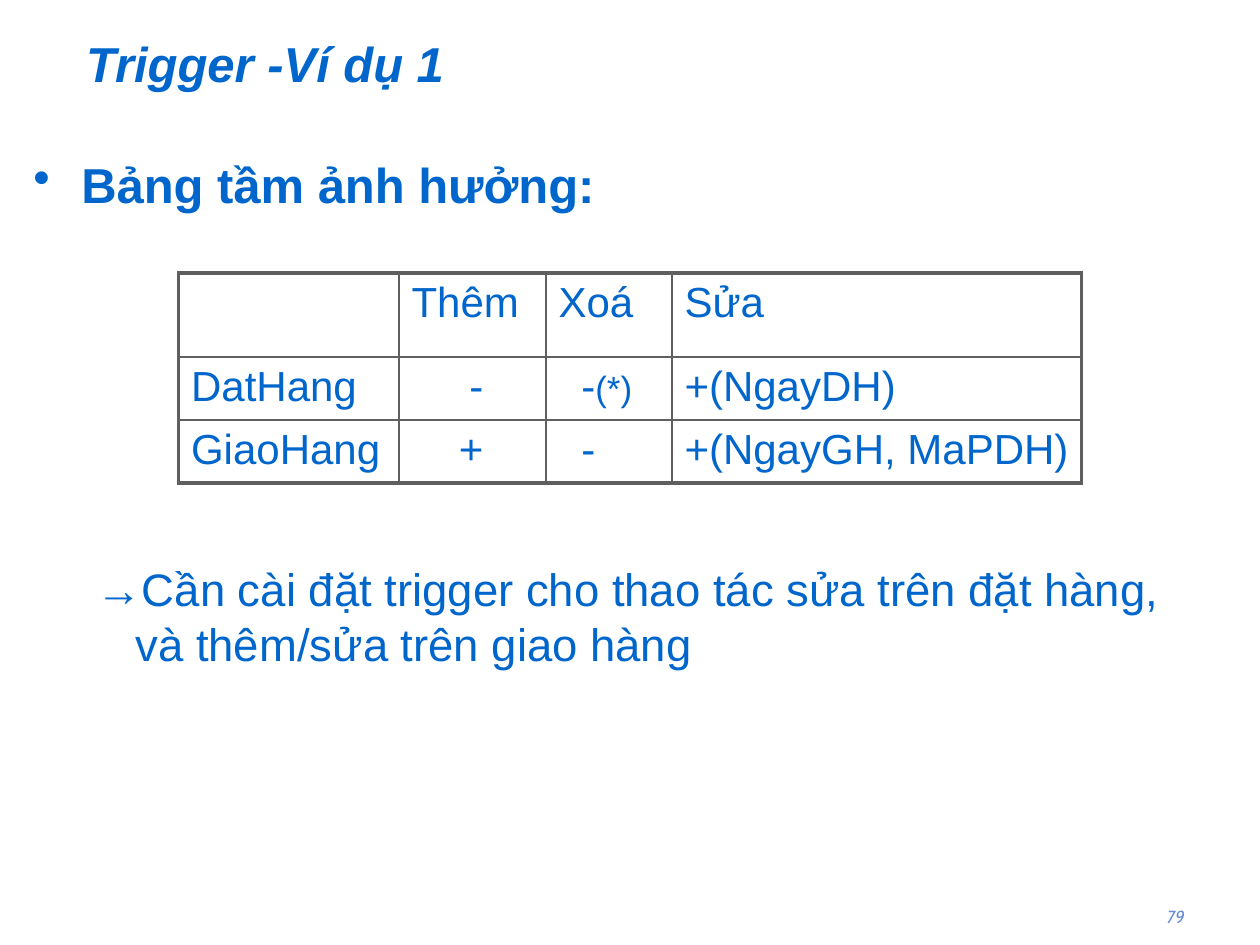
from lxml import etree
from pptx import Presentation, util as u
from pptx.dml.color import RGBColor
from pptx.enum import text
from pptx.oxml import ns

BLUE = RGBColor(0x00, 0x66, 0xCC)
PALE_BLUE = RGBColor(0x6B, 0x8E, 0xD3)
BORDER = RGBColor(0x5F, 0x5F, 0x5F)
THIN, THICK = 1, 2.25

COLUMNS = (21, 14, 12, 39)
ROWS = (8, 5.75, 5.75)
# Each cell: its runs as (text, size), then the indent in points
EFFECTS = (
    (((), 0), ((("Thêm", 24),), 0), ((("Xoá", 24),), 0), ((("Sửa", 24),), 0)),
    (((("DatHang", 24),), 0), ((("-", 24),), 33),
     ((("-", 24), ("(*)", 20)), 13), ((("+(NgayDH)", 24),), 0)),
    (((("GiaoHang", 24),), 0), ((("+", 24),), 27),
     ((("-", 24),), 13), ((("+(NgayGH, MaPDH)", 24),), 0)),
)


def grid(*cells):
    """Turn units of the 120 by 90 slide grid into lengths."""
    return [u.Inches(cell / 12) for cell in cells]


def add_run(paragraph, words, size, bold=False, italic=False,
            font="Arial", color=BLUE):
    run = paragraph.add_run()
    run.text = words
    run.font.name = font
    run.font.size = u.Pt(size)
    run.font.bold = bold
    run.font.italic = italic
    run.font.color.rgb = color


def set_hanging(paragraph, margin, hang, bullet=None):
    properties = paragraph._p.get_or_add_pPr()
    properties.set("marL", str(u.Inches(margin)))
    properties.set("indent", str(-u.Inches(hang)))
    if bullet:
        mark = etree.SubElement(properties, ns.qn("a:buChar"))
        mark.set("char", bullet)


def add_title(slide):
    title = slide.shapes.title
    title.left, title.top, title.width, title.height = grid(7, 0.25, 107, 11.4)
    title.text_frame.vertical_anchor = text.MSO_ANCHOR.MIDDLE
    heading = title.text_frame.paragraphs[0]
    heading.alignment = text.PP_ALIGN.LEFT
    add_run(heading, "Trigger -Ví dụ 1", 28, bold=True, italic=True)


def add_body(slide):
    frame = slide.shapes.add_textbox(*grid(2, 13.5, 112, 70.5)).text_frame
    frame.word_wrap = True
    frame.margin_top = u.Inches(0.1)
    topic = frame.paragraphs[0]
    set_hanging(topic, 0.38, 0.38, "•")
    add_run(topic, "Bảng tầm ảnh hưởng:", 28, bold=True)
    conclusion = frame.add_paragraph()
    conclusion.space_before = u.Pt(199)
    set_hanging(conclusion, 0.81, 0.31)
    add_run(conclusion, "→Cần cài đặt trigger cho thao tác sửa trên đặt hàng, "
            "và thêm/sửa trên giao hàng", 26)


def set_borders(cell, widths):
    """Draw the left, right, top and bottom borders, in that order."""
    properties = cell._tc.get_or_add_tcPr()
    for position, (side, width) in enumerate(zip("LRTB", widths)):
        line = etree.Element(ns.qn(f"a:ln{side}"), w=str(u.Pt(width)))
        fill = etree.SubElement(line, ns.qn("a:solidFill"))
        etree.SubElement(fill, ns.qn("a:srgbClr"), val=str(BORDER))
        properties.insert(position, line)


def add_effect_table(slide):
    table = slide.shapes.add_table(
        len(ROWS), len(COLUMNS), *grid(17, 26, sum(COLUMNS), sum(ROWS))).table
    table.first_row = table.horz_banding = False
    for column, width in zip(table.columns, grid(*COLUMNS)):
        column.width = width
    for row, height in zip(table.rows, grid(*ROWS)):
        row.height = height
    for r, effects in enumerate(EFFECTS):
        for c, (runs, indent) in enumerate(effects):
            cell = table.cell(r, c)
            cell.fill.background()
            cell.margin_left = u.Inches(0.1) + u.Pt(indent)
            for words, size in runs:
                add_run(cell.text_frame.paragraphs[0], words, size)
            outer = (c == 0, c == len(COLUMNS) - 1, r == 0, r == len(ROWS) - 1)
            set_borders(cell, [THICK if edge else THIN for edge in outer])


def add_page_number(slide):
    frame = slide.shapes.add_textbox(*grid(86, 85.75, 28, 3.25)).text_frame
    frame.word_wrap = True
    frame.auto_size = text.MSO_AUTO_SIZE.TEXT_TO_FIT_SHAPE
    number = frame.paragraphs[0]
    number.alignment = text.PP_ALIGN.RIGHT
    add_run(number, "79", 10, italic=True, font="Cabin", color=PALE_BLUE)


def main():
    deck = Presentation()
    deck.slide_width, deck.slide_height = grid(120, 90)
    slide = deck.slides.add_slide(deck.slide_layouts.get_by_name("Title Only"))
    add_page_number(slide)
    add_title(slide)
    add_body(slide)
    add_effect_table(slide)
    deck.save("out.pptx")


if __name__ == "__main__":
    main()
